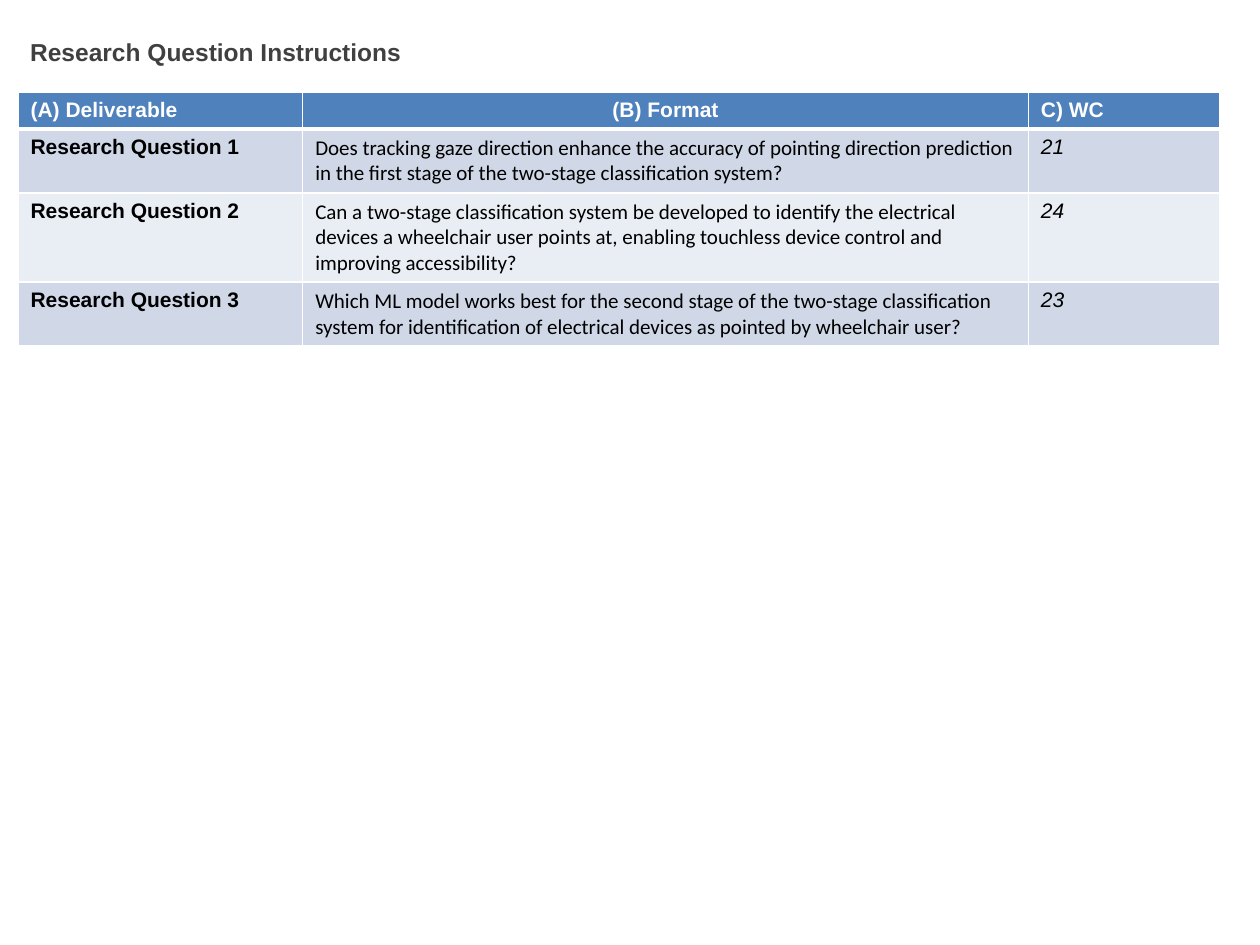
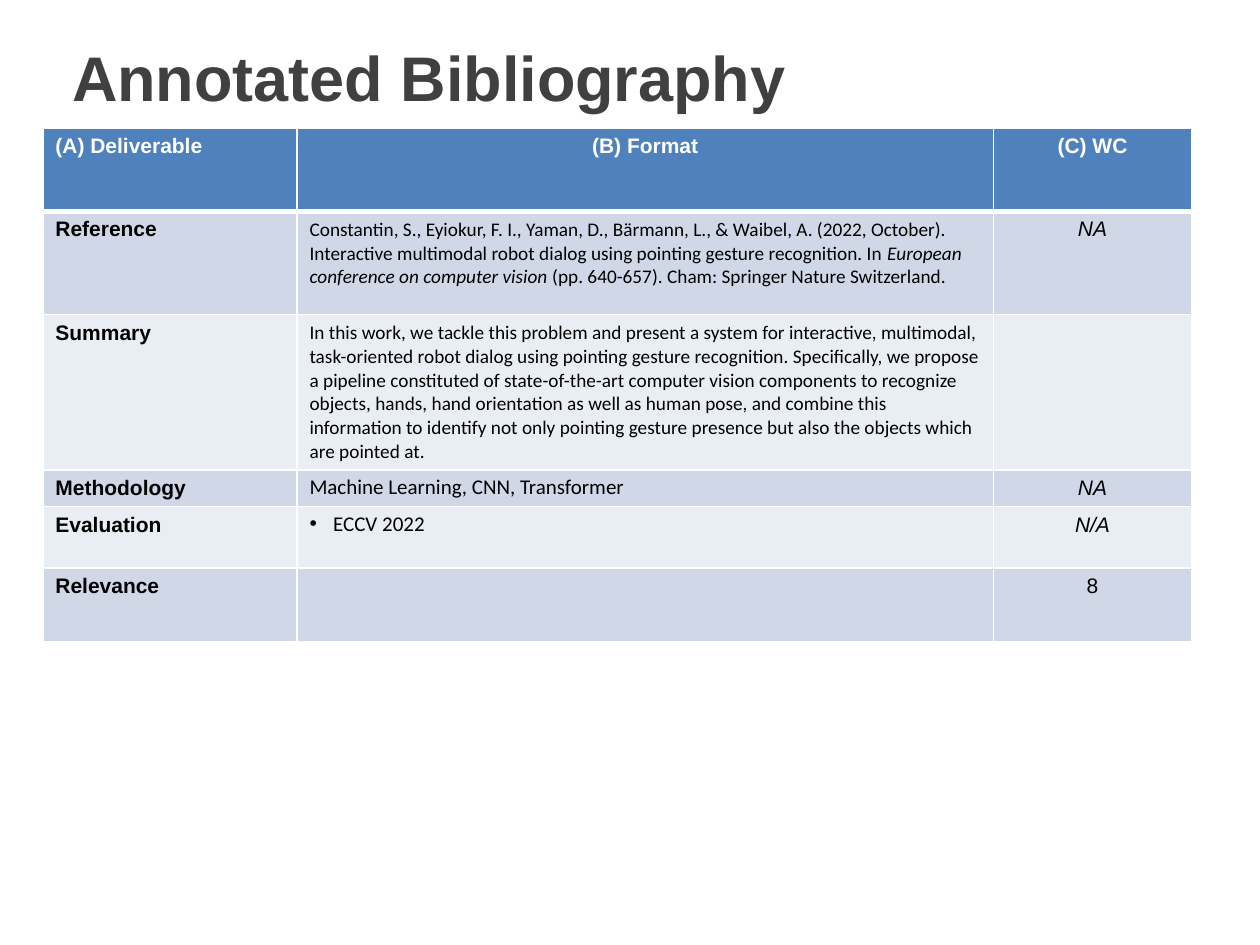
"""Build the research question and annotated bibliography table slides."""
from lxml import etree
from pptx import Presentation
from pptx.dml.color import RGBColor
from pptx.enum import text
from pptx.oxml import ns
from pptx.util import Pt

HUES = {"title": "404040", "head": "4F81BD", "odd": "D0D8E8",
        "even": "E9EDF4", "line": "FFFFFF", "light": "FFFFFF", "dark": "000000"}
LEFT, MID = text.PP_ALIGN.LEFT, text.PP_ALIGN.CENTER

QUESTIONS = {
    "title": "Research Question Instructions", "size": 14, "box": (10, 17.5, 603, 20),
    "anchor": text.MSO_ANCHOR.TOP,
    "at": (10.3, 52.7), "cols": (162.7, 414.7, 109.5), "last": LEFT,
    "head": ("(A) Deliverable", "(B) Format", "C) WC"), "tall": 21,
    "rows": [
        {"label": "Research Question 1", "tall": 36,
         "body": [("Does tracking gaze direction enhance the accuracy of pointing direction "
                   "prediction in the first stage of the two-stage classification system?", False)],
         "count": "21"},
        {"label": "Research Question 2", "tall": 51,
         "body": [("Can a two-stage classification system be developed to identify the electrical "
                   "devices a wheelchair user points at, enabling touchless device control and "
                   "improving accessibility?", False)],
         "count": "24"},
        {"label": "Research Question 3", "tall": 36,
         "body": [("Which ML model works best for the second stage of the two-stage classification "
                   "system for identification of electrical devices as pointed by wheelchair user?", False)],
         "count": "23"},
    ],
}
SOURCES = {
    "title": "Annotated Bibliography", "size": 36, "box": (34, 14.5, 610.5, 58),
    "anchor": text.MSO_ANCHOR.MIDDLE,
    "at": (24.5, 73.4), "cols": (145.2, 398, 113.3), "last": MID,
    "head": ("(A) Deliverable", "(B) Format", "(C) WC"), "tall": 47.5,
    "rows": [
        {"label": "Reference", "tall": 59, "size": 11,
         "body": [("Constantin, S., Eyiokur, F. I., Yaman, D., Bärmann, L., & Waibel, A. (2022, October). "
                   "Interactive multimodal robot dialog using pointing gesture recognition. In ", False),
                  ("European conference on computer vision", True),
                  (" (pp. 640-657). Cham: Springer Nature Switzerland.", False)],
         "count": "NA"},
        {"label": "Summary", "tall": 88,
         "size": 11,
         "body": [("In this work, we tackle this problem and present a system for interactive, "
                   "multimodal, task-oriented robot dialog using pointing gesture recognition. "
                   "Specifically, we propose a pipeline constituted of state-of-the-art computer "
                   "vision components to recognize objects, hands, hand orientation as well as human "
                   "pose, and combine this information to identify not only pointing gesture presence "
                   "but also the objects which are pointed at.", False)]},
        {"label": "Methodology", "tall": 21, "space": 0.9,
         "body": [("Machine Learning, CNN, Transformer", False)], "count": "NA"},
        {"label": "Evaluation", "tall": 35, "space": 0.9, "bullet": True,
         "body": [("ECCV 2022", False)], "count": "N/A"},
        {"label": "Relevance", "tall": 42, "body": [], "count": "8", "slant": False},
    ],
}


def write(para, runs, size, face, hue, bold=False):
    for words, slant in runs:
        run = para.add_run()
        run.text = words
        font = run.font
        font.size, font.name, font.bold, font.italic = Pt(size), face, bold, slant
        font.color.rgb = RGBColor.from_string(HUES[hue])


def edge(cell, side, wide):
    line = etree.SubElement(cell._tc.get_or_add_tcPr(), ns.qn("a:ln" + side), w=str(Pt(wide)))
    fill = etree.SubElement(line, ns.qn("a:solidFill"))
    etree.SubElement(fill, ns.qn("a:srgbClr"), val=HUES["line"])


def paint(cell, row):
    thick = {("B", 0), ("T", 1)}
    for side in "LRTB":
        edge(cell, side, 3 if (side, row) in thick else 1)
    cell.fill.solid()
    hue = "head" if row == 0 else "odd" if row % 2 else "even"
    cell.fill.fore_color.rgb = RGBColor.from_string(HUES[hue])


def dot(para):
    props = para._p.get_or_add_pPr()
    props.set("marL", str(Pt(13.5)))
    props.set("indent", str(Pt(-13.5)))
    etree.SubElement(props, ns.qn("a:buFont"), typeface="Arial")
    etree.SubElement(props, ns.qn("a:buChar"), char="•")


def add_title(slide, data):
    shape = slide.shapes.title
    shape.left, shape.top, shape.width, shape.height = map(Pt, data["box"])
    frame = shape.text_frame
    frame.auto_size = text.MSO_AUTO_SIZE.NONE
    frame.word_wrap, frame.vertical_anchor = True, data["anchor"]
    para = frame.paragraphs[0]
    para.alignment = LEFT
    write(para, [(data["title"], False)], data["size"], "Arial", "title", True)


def add_grid(slide, data):
    talls = [data["tall"]] + [row["tall"] for row in data["rows"]]
    spot = (*data["at"], sum(data["cols"]), sum(talls))
    grid = slide.shapes.add_table(len(talls), len(data["cols"]), *map(Pt, spot)).table
    for col, wide in zip(grid.columns, data["cols"]):
        col.width = Pt(wide)
    for num, tall in enumerate(talls):
        grid.rows[num].height = Pt(tall)
        for cell in grid.rows[num].cells:
            paint(cell, num)
    for num, (words, side) in enumerate(zip(data["head"], (LEFT, MID, data["last"]))):
        para = grid.cell(0, num).text_frame.paragraphs[0]
        para.alignment = side
        write(para, [(words, False)], 12, "Arial", "light", True)
    for num, row in enumerate(data["rows"], 1):
        label, body, count = (cell.text_frame.paragraphs[0] for cell in grid.rows[num].cells)
        write(label, [(row["label"], False)], 12, "Arial", "dark", True)
        if row.get("bullet"):
            dot(body)
        if "space" in row:
            body.line_spacing = row["space"]
        write(body, row["body"], row.get("size", 12), "Calibri", "dark")
        if "count" in row:
            count.alignment = data["last"]
            write(count, [(row["count"], row.get("slant", True))], 12, "Arial", "dark")


def main():
    deck = Presentation()
    deck.slide_width, deck.slide_height = Pt(720), Pt(540)
    for data in (QUESTIONS, SOURCES):
        slide = deck.slides.add_slide(deck.slide_layouts[5])
        add_title(slide, data)
        add_grid(slide, data)
    deck.save("out.pptx")


if __name__ == "__main__":
    main()
